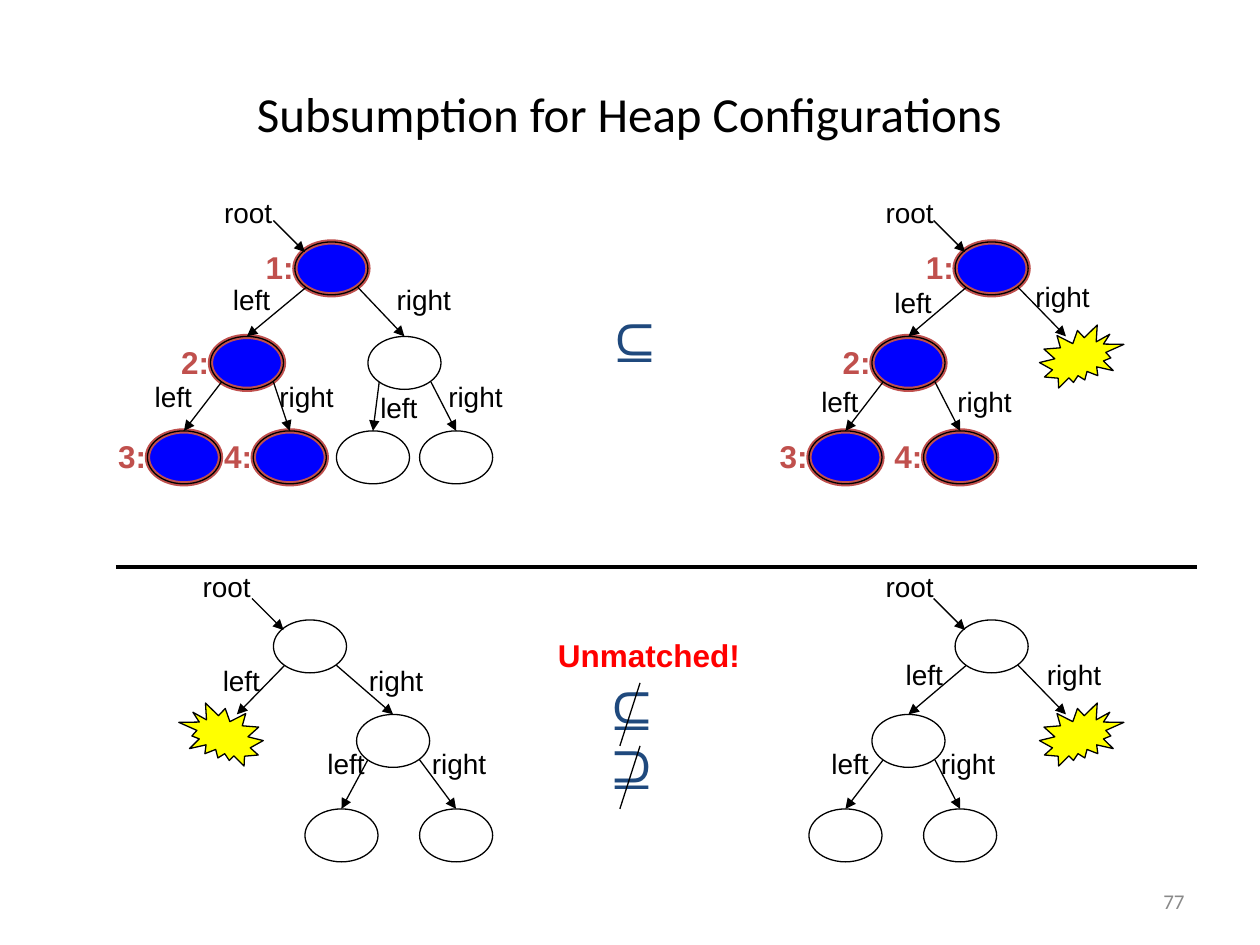
from lxml import etree
from pptx import Presentation
from pptx import util as u
from pptx.dml.color import RGBColor
from pptx.enum import shapes, text
from pptx.oxml.ns import qn

COLORS = {"black": "000000", "blue": "0000FF", "rust": "C0504D", "yellow": "FFFF00",
          "navy": "1F497D", "red": "FF0000", "gray": "898989"}
NODE = (0.58, 0.42)
SEAL = (0.67, 0.5)
WORD_WIDTHS = {"left": 0.5, "right": 0.64, "root": 0.59}

TITLE = [("Subsumption for Heap Configurations", 28), (" ", 32)]
# nodes: name -> (left, top); edges: (parent, child, label left, label top)
# Nodes named by a number are matched; "seal" is the burst that hides a subtree.
TREES = [
    {"root": (1.68, 1.5),
     "nodes": {"1": (2.34, 1.92), "2": (1.67, 2.67), "3": (1.17, 3.42), "4": (2.01, 3.42),
               "a": (2.92, 2.67), "b": (2.67, 3.42), "c": (3.33, 3.42)},
     "edges": [("1", "2", 1.75, 2.19), ("1", "a", 3.05, 2.19),
               ("2", "3", 1.13, 2.96), ("2", "4", 2.12, 2.96),
               ("a", "b", 2.92, 3.05), ("a", "c", 3.46, 2.96)]},
    {"root": (6.93, 1.5),
     "nodes": {"1": (7.58, 1.92), "2": (6.92, 2.67), "3": (6.42, 3.42), "4": (7.33, 3.42),
               "seal": (8.25, 2.58)},
     "edges": [("1", "2", 7, 2.22), ("1", "seal", 8.12, 2.17),
               ("2", "3", 6.42, 3), ("2", "4", 7.5, 3)]},
    {"root": (1.51, 4.47),
     "nodes": {"a": (2.17, 4.92), "b": (2.83, 5.67), "c": (2.42, 6.42), "d": (3.33, 6.42),
               "seal": (1.42, 5.58)},
     "edges": [("a", "seal", 1.67, 5.22), ("a", "b", 2.83, 5.22),
               ("b", "c", 2.5, 5.88), ("b", "d", 3.33, 5.88)]},
    {"root": (6.93, 4.47),
     "nodes": {"a": (7.58, 4.92), "b": (6.92, 5.67), "c": (6.42, 6.42), "d": (7.33, 6.42),
               "seal": (8.25, 5.58)},
     "edges": [("a", "b", 7.09, 5.17), ("a", "seal", 8.21, 5.17),
               ("b", "c", 6.5, 5.88), ("b", "d", 7.37, 5.88)]},
]
RELATIONS = [("⊆", 4.69, 2.33), ("⊆", 4.67, 5.25), ("⊇", 4.67, 5.72)]
STRIKE_TOPS = [5.42, 5.92]


def rgb(name):
    return RGBColor.from_string(COLORS[name])


def inches(*values):
    return [u.Inches(value) for value in values]


def style_font(target, color, **formats):
    target.font.color.rgb = rgb(color)
    for name, value in formats.items():
        setattr(target.font, name, value)


def add_text(page, words, left, top, width, height, color="black", size=16,
             bold=False, name="Arial"):
    box = page.shapes.add_textbox(*inches(left, top, width, height))
    box.text_frame.word_wrap = False
    box.text_frame.auto_size = text.MSO_AUTO_SIZE.SHAPE_TO_FIT_TEXT
    para = box.text_frame.paragraphs[0]
    para.text = words
    style_font(para, color, size=u.Pt(size), bold=bold, name=name)
    return box


def add_outline(page, kind, place, size, fill=None, line="black", weight=0.75):
    shape = page.shapes.add_shape(kind, *inches(*place, *size))
    shape.shadow.inherit = False
    if fill:
        shape.fill.solid()
        shape.fill.fore_color.rgb = rgb(fill)
    else:
        shape.fill.background()
    shape.line.color.rgb = rgb(line)
    shape.line.width = u.Pt(weight)
    return shape


def add_line(page, start, end, weight=0.75, arrow=False):
    line = page.shapes.add_connector(shapes.MSO_CONNECTOR.STRAIGHT, *inches(*start, *end))
    line.line.color.rgb = rgb("black")
    line.line.width = u.Pt(weight)
    properties = line.element.spPr
    if arrow:
        etree.SubElement(properties.find(qn("a:ln")), qn("a:tailEnd"), type="triangle")
    etree.SubElement(properties, qn("a:effectLst"))
    return line


def add_node(page, name, place):
    oval = shapes.MSO_SHAPE.OVAL
    if name.isdigit():
        add_outline(page, oval, place, NODE, "blue", "rust", 3)
        add_text(page, f"{name}:", place[0] - 0.33, place[1], 0.43, 0.4, "rust", 18, True)
    return add_outline(page, oval, place, NODE)


def add_seal(page, place, mirrored):
    seal = add_outline(page, shapes.MSO_SHAPE.EXPLOSION2, place, SEAL, "yellow")
    if mirrored:
        seal.element.spPr.find(qn("a:xfrm")).set("flipH", "1")


def add_word(page, word, left, top):
    add_text(page, word, left, top, WORD_WIDTHS[word], 0.37)


def add_tree(page, tree):
    nodes = tree["nodes"]
    ovals = {name: add_node(page, name, place)
             for name, place in nodes.items() if name != "seal"}

    left, top = next(iter(nodes.values()))
    add_line(page, (left - 0.17, top - 0.17), (left + 0.08, top + 0.08), arrow=True)
    add_word(page, "root", *tree["root"])

    for parent, child, label_left, label_top in tree["edges"]:
        (x, y), (child_x, child_y) = nodes[parent], nodes[child]
        goes_left = child_x < x
        start = (x + (0.09 if goes_left else 0.5), y + 0.36)
        if child == "seal":
            add_seal(page, nodes[child], goes_left)
            tip = SEAL[0] - 0.21 if goes_left else 0.21
            add_line(page, start, (child_x + tip, child_y + 0.09), arrow=True)
        else:
            edge = add_line(page, start, (child_x + NODE[0] / 2, child_y), arrow=True)
            edge.end_connect(ovals[child], 0)
        add_word(page, "left" if goes_left else "right", label_left, label_top)


def add_title(page):
    title = page.shapes.title
    title.left, title.top, title.width, title.height = inches(0.42, 0.25, 9.25, 1.25)
    title.text_frame.vertical_anchor = text.MSO_ANCHOR.MIDDLE
    heading = title.text_frame.paragraphs[0]
    heading.alignment = text.PP_ALIGN.CENTER
    for words, size in TITLE:
        span = heading.add_run()
        span.text = words
        style_font(span, "black", size=u.Pt(size), name="Calibri")


def main():
    deck = Presentation()
    deck.slide_width, deck.slide_height = inches(10, 7.5)
    page = deck.slides.add_slide(deck.slide_layouts[5])
    add_title(page)

    add_line(page, (0.92, 4.5), (9.5, 4.5), weight=2)
    for tree in TREES:
        add_tree(page, tree)

    for sign, left, top in RELATIONS:
        add_text(page, sign, left, top, 0.6, 0.7, "navy", 36, True)
    for top in STRIKE_TOPS:
        add_line(page, (5.08, top), (4.92, top + 0.5))
    add_text(page, "Unmatched!", 4.33, 5, 1.66, 0.4, "red", 18, True)

    number = add_text(page, "77", 7.17, 6.95, 2.33, 0.4, "gray", 12, name="Calibri")
    number.text_frame.word_wrap = True
    number.text_frame.auto_size = text.MSO_AUTO_SIZE.NONE
    number.text_frame.vertical_anchor = text.MSO_ANCHOR.MIDDLE
    number.text_frame.paragraphs[0].alignment = text.PP_ALIGN.RIGHT

    deck.save("out.pptx")


if __name__ == "__main__":
    main()
